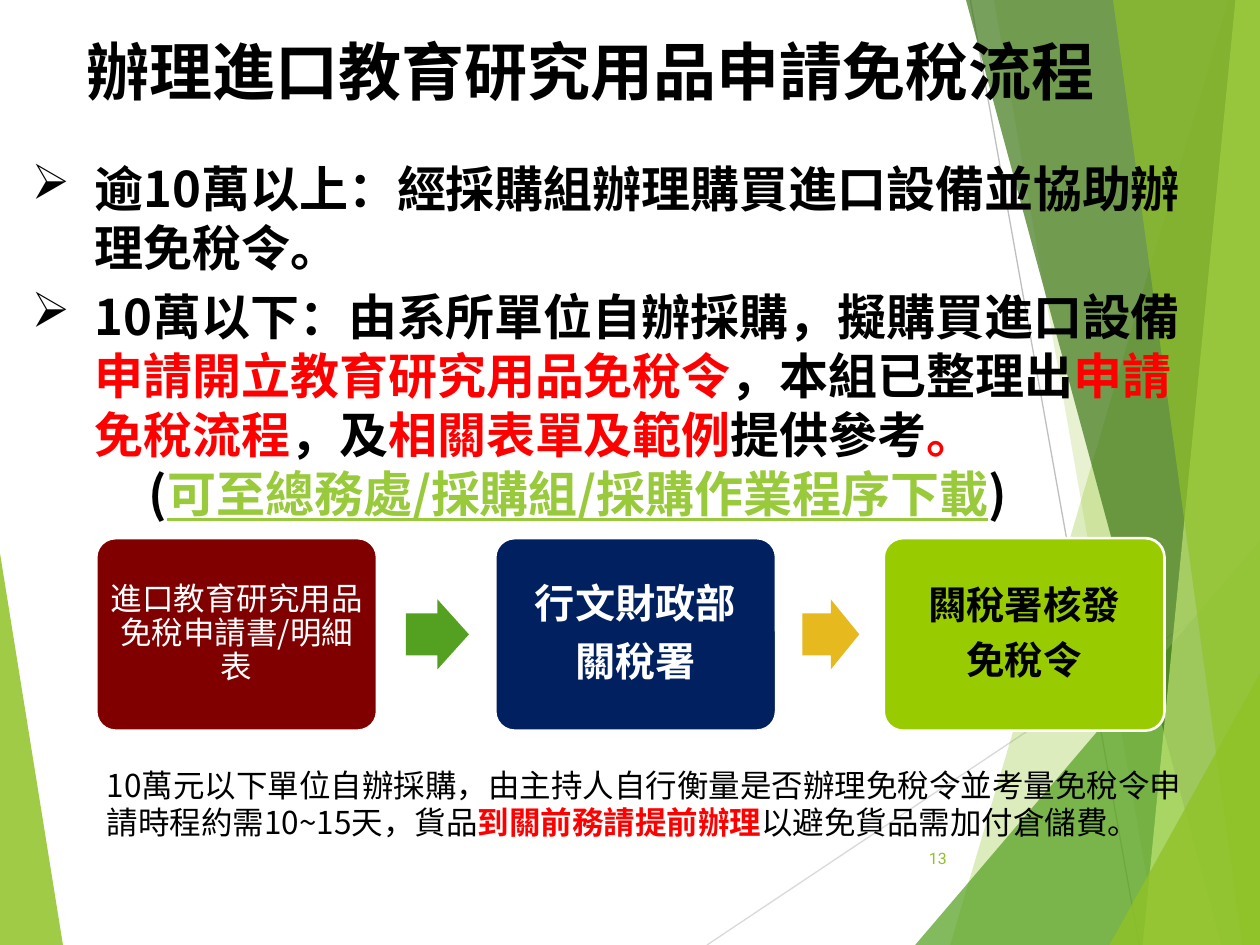
import pptx
import pptx.util
import pptx.dml.color
import pptx.enum.shapes
import pptx.enum.text
import pptx.oxml.ns
import pptx.oxml.xmlchemy

Pt = pptx.util.Pt
SHAPE = pptx.enum.shapes.MSO_SHAPE
ALIGN = pptx.enum.text.PP_ALIGN
ANCHOR = pptx.enum.text.MSO_ANCHOR
qn = pptx.oxml.ns.qn
new_element = pptx.oxml.xmlchemy.OxmlElement

WIDTH, HEIGHT = 720, 540
COLORS = {
    "black": "000000", "white": "FFFFFF", "red": "FF0000", "link": "99CA3C",
    "lime": "90C226", "green": "54A021", "forest": "3F7819", "pale": "C0E474",
    "silver": "D9D9D9", "gray": "BFBFBF", "maroon": "800000", "navy": "002060",
    "apple": "99CC00", "gold": "E6B91E",
}


class SlideBuilder:
    """Holds the style and the current slide."""

    def __init__(self, slide, font):
        self.slide = slide
        self.shapes = slide.shapes
        self.font = font

    def color(self, name):
        return pptx.dml.color.RGBColor.from_string(COLORS[name])

    def paint(self, shape, fill):
        shape.shadow.inherit = False
        shape.fill.solid()
        shape.fill.fore_color.rgb = self.color(fill)
        shape.line.fill.background()

    def facet(self, points, fill, opacity):
        builder = self.shapes.build_freeform(*points[0], scale=float(Pt(1)))
        builder.add_line_segments(points[1:], close=True)
        shape = builder.convert_to_shape()
        self.paint(shape, fill)
        tint = shape._element.spPr.find(".//" + qn("a:srgbClr"))
        alpha = new_element("a:alpha")
        alpha.set("val", str(opacity * 1000))
        tint.append(alpha)

    def line(self, start, end, color):
        line = self.shapes.add_connector(
            pptx.enum.shapes.MSO_CONNECTOR.STRAIGHT, *map(Pt, start + end))
        line.line.color.rgb = self.color(color)
        line.line.width = Pt(0.75)
        line._element.spPr.append(new_element("a:effectLst"))

    def text(self, left, top, width, height, anchor=ANCHOR.TOP):
        box = self.shapes.add_textbox(Pt(left), Pt(top), Pt(width), Pt(height))
        box.text_frame.word_wrap = True
        box.text_frame.vertical_anchor = anchor
        return box.text_frame

    def para(self, frame, spans, size, align=ALIGN.LEFT, bold=False, font=None):
        """Add a paragraph; each span is (text, color, further font settings)."""
        para = frame.paragraphs[0]
        if para.runs:
            para = frame.add_paragraph()
        para.alignment = align
        for text, color, *extra in spans:
            span = para.add_run()
            span.text = text
            span.font.name = font or self.font
            span.font.size = Pt(size)
            span.font.bold = bold
            span.font.color.rgb = self.color(color)
            for setting in extra:
                setattr(span.font, setting, True)
            east = new_element("a:ea")
            east.set("typeface", font or self.font)
            span.font._element.find(qn("a:latin")).addnext(east)
        return para

    def indent(self, para, margin, hanging=0, bullet=None):
        props = para._p.get_or_add_pPr()
        props.set("marL", str(Pt(margin)))
        props.set("indent", str(-Pt(hanging)))
        if bullet:
            mark = new_element("a:buChar")
            mark.set("char", bullet)
            props.append(mark)

    def step(self, left, fill, lines, size, color, bold, inset):
        box = self.shapes.add_shape(
            SHAPE.ROUNDED_RECTANGLE, Pt(left), Pt(307.5), Pt(160.5), Pt(110))
        box.adjustments[0] = 0.1
        self.paint(box, fill)
        box.line.color.rgb = self.color("white")
        box.line.width = Pt(1.5)
        frame = box.text_frame
        frame.word_wrap = True
        frame.vertical_anchor = ANCHOR.MIDDLE
        frame.margin_left = frame.margin_right = Pt(inset)
        frame.margin_top = frame.margin_bottom = Pt(inset)
        for line in lines:
            para = self.para(frame, [(line, color)], size, ALIGN.CENTER, bold)
            para.line_spacing = 0.9
            para.space_after = Pt(round(size * 0.35, 1))

    def arrow(self, left, width, fill):
        arrow = self.shapes.add_shape(
            SHAPE.RIGHT_ARROW, Pt(left), Pt(342.5), Pt(width), Pt(40))
        arrow.adjustments[0] = 0.6
        arrow.adjustments[1] = 0.5
        self.paint(arrow, fill)


def main():
    deck = pptx.Presentation()
    deck.slide_width, deck.slide_height = Pt(WIDTH), Pt(HEIGHT)
    page = SlideBuilder(deck.slides.add_slide(deck.slide_layouts[6]),
                        "Noto Sans CJK SC")

    # Background facets and hairlines
    page.facet([(0, 316), (35.5, HEIGHT), (0, HEIGHT)], "lime", 85)
    page.line((404, HEIGHT), (WIDTH, 329), "silver")
    page.line((554.5, 0), (651, HEIGHT), "gray")
    top_right, bottom_right = (WIDTH, 0), (WIDTH, HEIGHT)
    for first, second, fill, opacity in [
        ((702, 0), (543, HEIGHT), "lime", 30),
        ((567.5, 0), (662, HEIGHT), "lime", 20),
        ((WIDTH, 309), (523, HEIGHT), "green", 72),
        ((552, 0), (698.5, HEIGHT), "forest", 70),
        ((706.5, 0), (653, HEIGHT), "pale", 70),
        ((636, 0), (710, HEIGHT), "lime", 65),
        ((WIDTH, 385), (634.5, HEIGHT), "lime", 80),
    ]:
        corners = [bottom_right]
        if first[1] == 0:
            corners.append(top_right)
        page.facet([first, second] + corners, fill, opacity)

    # Title and page number
    title = page.text(42.5, 15, 641.5, 68)
    page.para(title, [("辦理進口教育研究用品申請免稅流程", "black")], 36, bold=True)
    number = page.text(507.5, 476, 40.5, 28.5, ANCHOR.MIDDLE)
    page.para(number, [("13", "lime")], 9, ALIGN.RIGHT, font="Roboto")

    # Bulleted rules
    rules = page.text(11, 87, 674.5, 257)
    for spans in [
        [("逾10萬以上：經採購組辦理購買進口設備並協助辦理免稅令。", "black")],
        [("10萬以下：由系所單位自辦採購，擬購買進口設備", "black"),
         ("申請開立教育研究用品免稅令", "red"),
         ("，本組已整理出", "black"),
         ("申請免稅流程", "red"),
         ("，及", "black"),
         ("相關表單及範例", "red"),
         ("提供參考", "black"),
         ("。", "red")],
    ]:
        para = page.para(rules, spans, 28, bold=True)
        para.space_before = Pt(6)
        page.indent(para, 36, 36, "➢")
    para = page.para(rules, [
        ("(", "black"),
        ("可至總務處/採購組/採購作業程序下載", "link", "underline"),
        (")", "black")], 28, bold=True)
    page.indent(para, 67)

    # Process steps
    page.step(55, "maroon", ["進口教育研究用品免稅申請書/明細表"], 18, "white", False, 5)
    page.arrow(232, 36, "green")
    page.step(283, "navy", ["行文財政部", "關稅署"], 23, "white", True, 7)
    page.arrow(458.5, 32.5, "gold")
    page.step(505, "apple", ["闗稅署核發", "免稅令"], 22, "black", True, 6.5)

    # Closing note
    note = page.text(54, 434, 638.5, 72.5)
    page.para(note, [
        ("10萬元以下單位自辦採購，由主持人自行衡量是否辦理免稅令並考量免稅令申請時程約需10~15天，貨品",
         "black"),
        ("到關前務請提前辦理", "red", "bold"),
        ("以避免貨品需加付倉儲費。", "black")], 18)

    deck.save("out.pptx")


if __name__ == "__main__":
    main()
